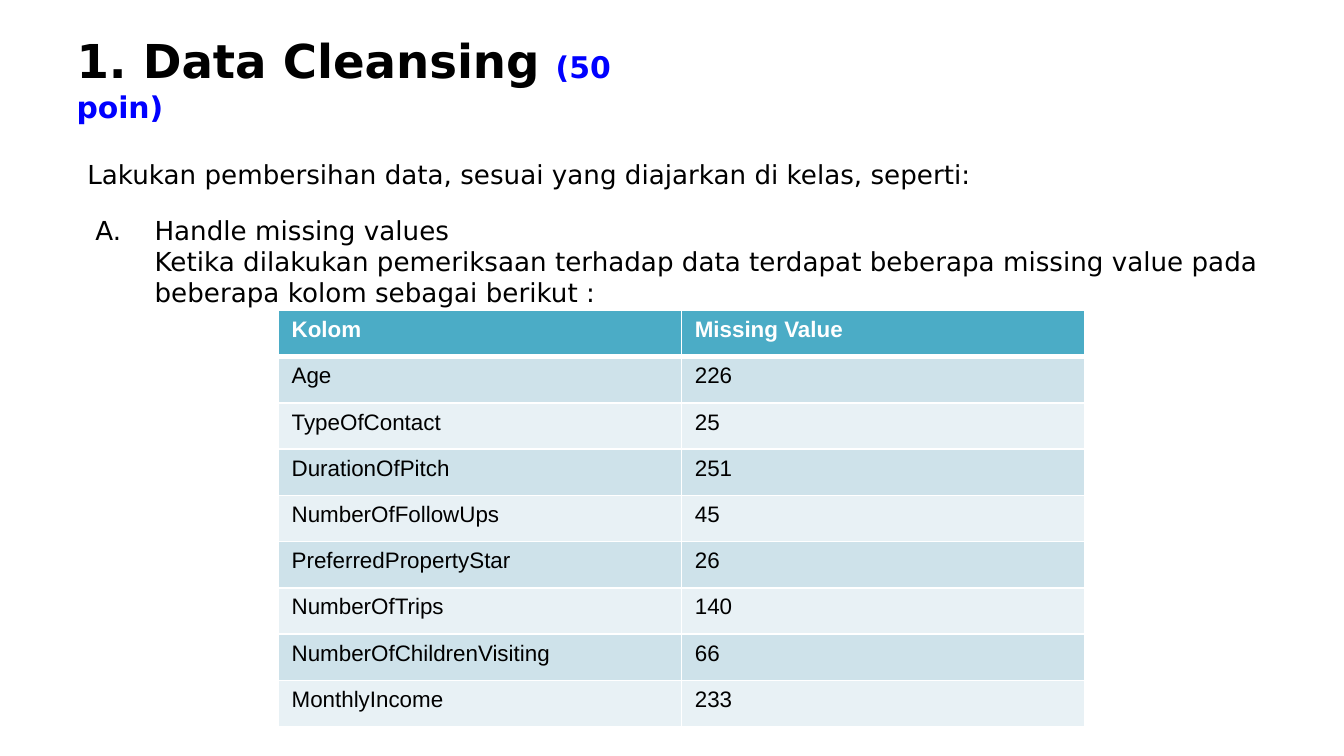
"""Build the data cleansing slide with its table of missing values."""
from lxml import etree
from pptx import Presentation
from pptx.dml.color import RGBColor
from pptx.enum.text import MSO_ANCHOR, MSO_AUTO_SIZE, PP_ALIGN
from pptx.oxml.ns import qn
from pptx.util import Inches, Pt

TOP, LEFT, FIXED = MSO_ANCHOR.TOP, PP_ALIGN.LEFT, MSO_AUTO_SIZE.NONE
WIDE = Inches(10)
HIGH = WIDE * 9 // 16
HEX = {"ink": "000000", "blue": "0000FF", "white": "FFFFFF",
       "head": "4BACC6", "dark": "CEE2EA", "light": "E8F1F5"}
SANS, ARIAL = "DejaVu Sans", "Arial"

TITLE = [("1. Data Cleansing ", 25, "ink"), ("(50 poin)", 16, "blue")]
INTRO = "Lakukan pembersihan data, sesuai yang diajarkan di kelas, seperti:"
ITEM = ["Handle missing values",
        "Ketika dilakukan pemeriksaan terhadap data terdapat beberapa "
        "missing value pada beberapa kolom sebagai berikut :"]
ROWS = [("Kolom", "Missing Value"), ("Age", "226"), ("TypeOfContact", "25"),
        ("DurationOfPitch", "251"), ("NumberOfFollowUps", "45"),
        ("PreferredPropertyStar", "26"), ("NumberOfTrips", "140"),
        ("NumberOfChildrenVisiting", "66"), ("MonthlyIncome", "233")]


def write(para, text, size=14, color="ink", bold=False, font=SANS):
    run = para.add_run()
    run.text = text
    run.font.size, run.font.bold, run.font.name = Pt(size), bold, font
    run.font.color.rgb = RGBColor.from_string(HEX[color])


def place(shape, left, top, width, height, inset):
    shape.left, shape.top = Inches(left), Inches(top)
    shape.width, shape.height = Inches(width), Inches(height)
    frame = shape.text_frame
    frame.word_wrap, frame.auto_size = True, FIXED
    frame.vertical_anchor = TOP
    frame.margin_left = frame.margin_right = frame.margin_bottom = 0
    frame.margin_top = Inches(inset)
    return frame


def indent(para, margin, first, bullet, before=0):
    para.alignment, para.line_spacing = LEFT, 1.0
    para.space_before = Pt(before)
    props = para._p.get_or_add_pPr()
    props.set("marL", str(Inches(margin)))
    props.set("indent", str(Inches(first)))
    mark = etree.SubElement(props, qn("a:" + bullet))
    if bullet == "buAutoNum":
        mark.set("type", "alphaUcPeriod")


def border(cell, sides):
    props = cell._tc.get_or_add_tcPr()
    for spot, (side, width) in enumerate(sides.items()):
        line = etree.Element(qn("a:ln" + side), w=str(Pt(width)))
        fill = etree.SubElement(line, qn("a:solidFill"))
        etree.SubElement(fill, qn("a:srgbClr"), val=HEX["white"])
        props.insert(spot, line)


def grid(slide):
    table = slide.shapes.add_table(len(ROWS), len(ROWS[0]), Inches(2.07),
                                   Inches(2.31), Inches(6), Inches(3.1)).table
    for i, row in enumerate(ROWS):
        tone = "head" if i == 0 else ("light", "dark")[i % 2]
        for j, text in enumerate(row):
            cell = table.cell(i, j)
            cell.fill.solid()
            cell.fill.fore_color.rgb = RGBColor.from_string(HEX[tone])
            border(cell, {"L": 1, "R": 1, "T": 3 if i == 1 else 1,
                          "B": 3 if i == 0 else 1})
            write(cell.text_frame.paragraphs[0], text, size=12, font=ARIAL,
                  bold=i == 0, color="ink" if i else "white")


def main():
    deck = Presentation()
    deck.slide_width, deck.slide_height = WIDE, HIGH
    slide = deck.slides.add_slide(deck.slide_layouts[1])
    title, body = slide.placeholders

    para = place(title, 0.56, 0.22, 4.29, 0.45, 0.02).paragraphs[0]
    indent(para, 0.01, 0, "buNone")
    for text, size, color in TITLE:
        write(para, text, size=size, color=color, bold=True)

    frame = place(body, 0.64, 1.17, 8.86, 1.79, 0.01)
    para = frame.paragraphs[0]
    indent(para, 0.01, 0, "buNone")
    write(para, INTRO)
    para = frame.add_paragraph()
    indent(para, 0.51, -0.44, "buAutoNum", before=12.8)
    write(para, ITEM[0])
    para.add_line_break()
    write(para, ITEM[1])

    grid(slide)
    deck.save("out.pptx")


if __name__ == "__main__":
    main()
